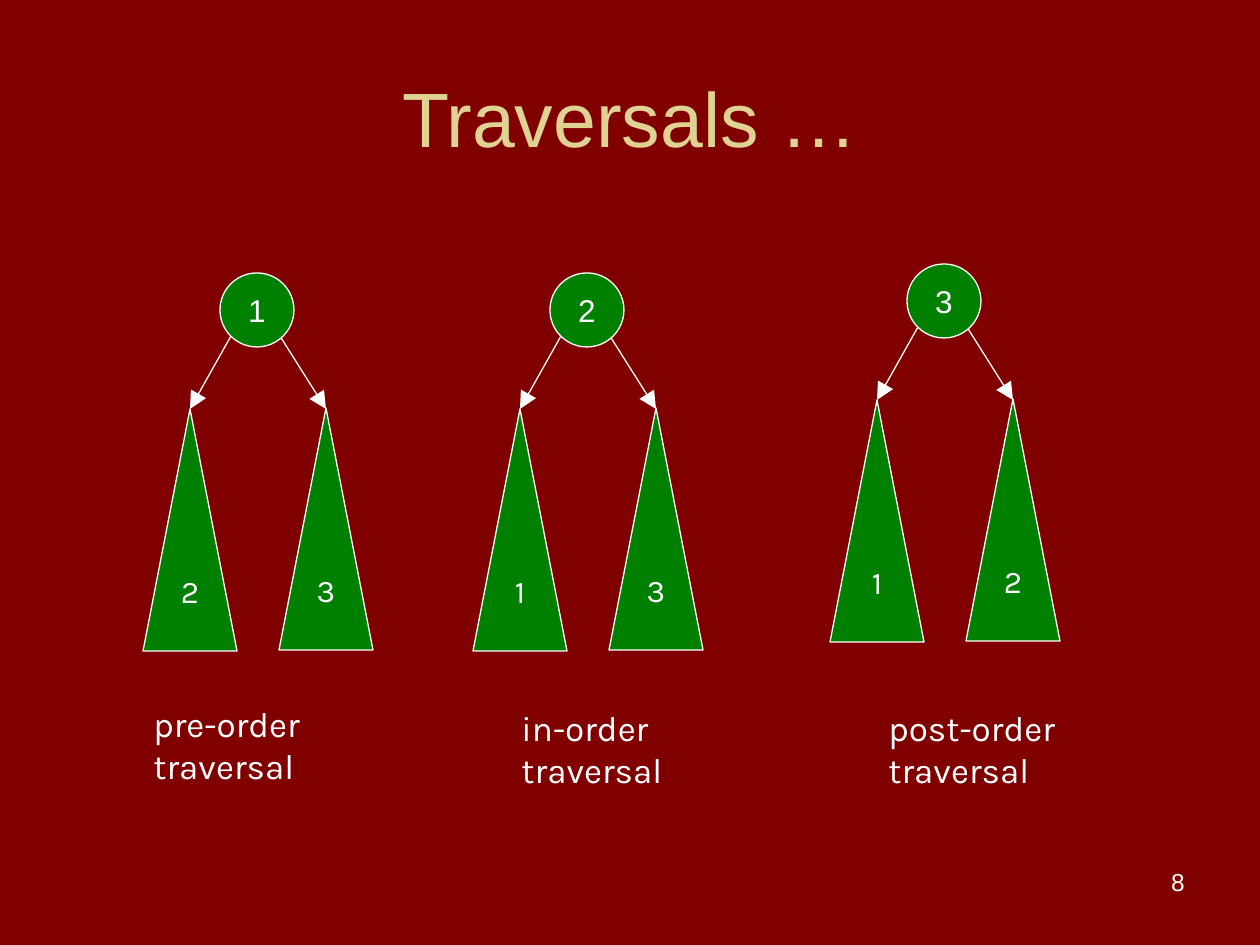
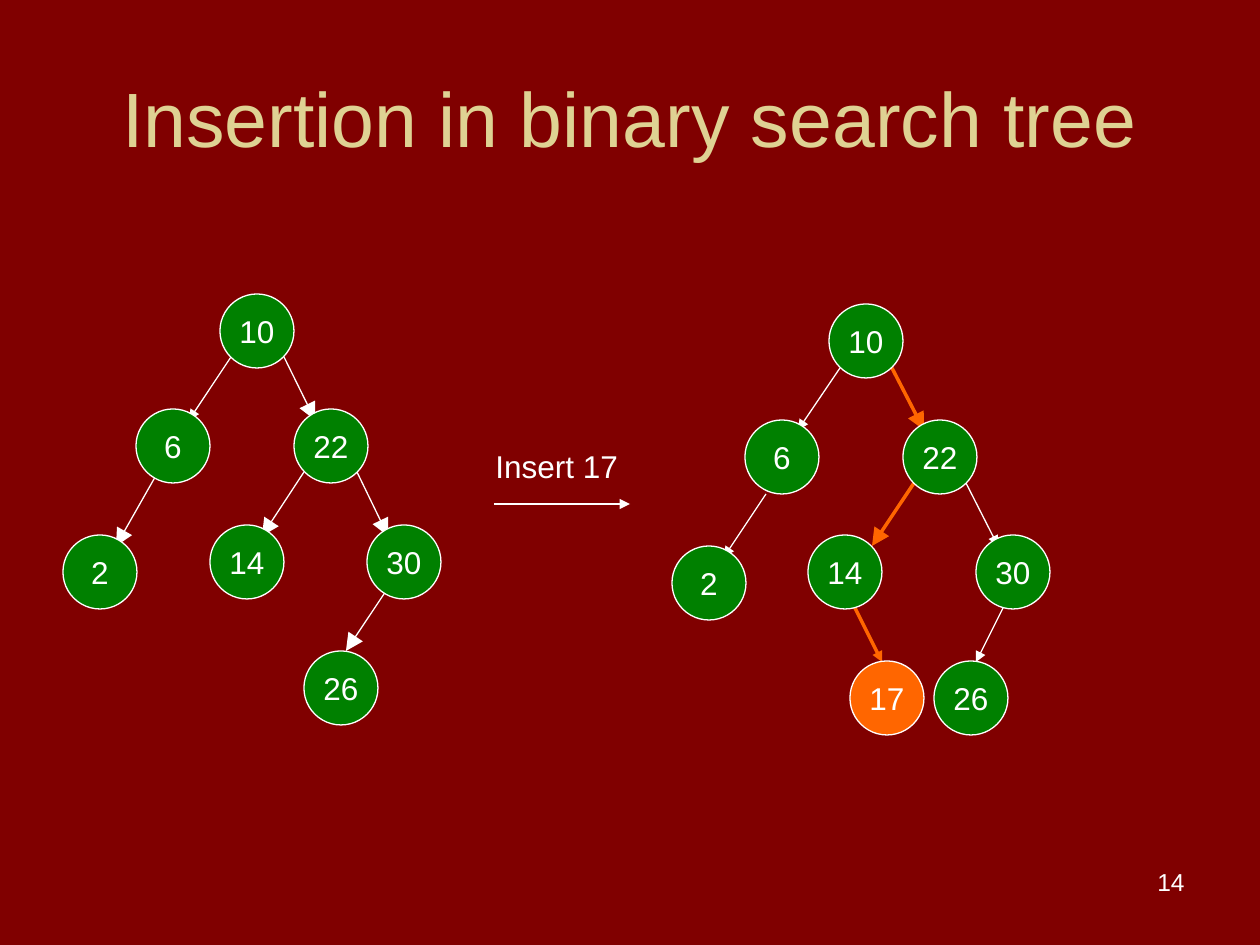
import dataclasses
import pptx
import pptx.dml.color
import pptx.enum.shapes
import pptx.enum.text
import pptx.oxml
import pptx.oxml.ns
import pptx.util

PX = 914400 / 126


@dataclasses.dataclass(frozen=True)
class Theme:
    background: str = "800000"
    title: str = "DFD293"
    text: str = "FFFFFF"
    line: str = "FFFFFF"
    node: str = "008000"
    highlight: str = "FF6600"
    font: str = "Arial"
    caption_font: str = "Karla"
    title_size: int = 44
    caption_size: int = 20
    label_size: int = 18
    number_size: int = 14
    line_width: float = 0.75
    path_width: float = 2


theme = Theme()
rgb = pptx.dml.color.RGBColor.from_string
align = pptx.enum.text.PP_ALIGN
anchor = pptx.enum.text.MSO_ANCHOR
auto_size = pptx.enum.text.MSO_AUTO_SIZE
preset = pptx.enum.shapes.MSO_SHAPE


def place(*lengths):
    return [round(length * PX) for length in lengths]


def write(shape, text, size, font=theme.font, color=theme.text,
          alignment=align.LEFT, vertical=anchor.TOP, wrap=True):
    frame = shape.text_frame
    frame.text = text
    frame.word_wrap = wrap
    frame.vertical_anchor = vertical
    for paragraph in frame.paragraphs:
        paragraph.alignment = alignment
        for run in paragraph.runs:
            run.font.size = pptx.util.Pt(size)
            run.font.name = font
            run.font.color.rgb = rgb(color)


NODE = (74, 74)
SUBTREE = (94, 242)

traversal_arrows = []
traversal_shapes = []
for x, y, root, left, right in [
    (220, 273, "1", "2", "3"),
    (550, 273, "2", "1", "3"),
    (907, 264, "3", "1", "2"),
]:
    traversal_arrows += [
        (x + 11, y + 63, x - 30, y + 136, theme.line, "lg"),
        (x + 53, y + 52, x + 106, y + 136, theme.line, "lg"),
    ]
    traversal_shapes += [
        (preset.ISOSCELES_TRIANGLE, x - 77, y + 136, SUBTREE, left, theme.node, theme.caption_font),
        (preset.ISOSCELES_TRIANGLE, x + 59, y + 135, SUBTREE, right, theme.node, theme.caption_font),
        (preset.OVAL, x, y, NODE, root, theme.node, theme.font),
    ]
traversal_captions = [
    (141, 696, 193, 97, "pre-order \vtraversal", theme.caption_size, theme.caption_font),
    (509, 700, 180, 97, "in-order \vtraversal", theme.caption_size, theme.caption_font),
    (876, 700, 215, 97, "post-order \vtraversal", theme.caption_size, theme.caption_font),
]

insertion_arrows = [
    (494, 504, 630, 504, theme.line, "med"),
    (231, 357, 189, 420, theme.line, "med"),
    (284, 357, 315, 420, theme.line, "lg"),
    (304, 472, 262, 536, theme.line, "lg"),
    (357, 472, 388, 536, theme.line, "lg"),
    (158, 472, 116, 546, theme.line, "lg"),
    (388, 588, 346, 651, theme.line, "lg"),
    (840, 368, 798, 430, theme.line, "med"),
    (892, 368, 924, 430, theme.highlight, "lg"),
    (914, 483, 872, 546, theme.highlight, "lg"),
    (966, 483, 998, 546, theme.line, "med"),
    (766, 494, 724, 557, theme.line, "med"),
    (850, 598, 882, 662, theme.highlight, "med"),
    (1008, 598, 976, 662, theme.line, "med"),
]
insertion_shapes = [
    (preset.OVAL, x, y, NODE, key, theme.highlight if key == "17" else theme.node, theme.font)
    for x, y, key in [
        (220, 294, "10"), (136, 409, "6"), (294, 409, "22"), (63, 535, "2"),
        (210, 525, "14"), (367, 525, "30"), (304, 651, "26"),
        (829, 304, "10"), (745, 420, "6"), (903, 420, "22"), (672, 546, "2"),
        (808, 535, "14"), (976, 535, "30"), (850, 661, "17"), (934, 661, "26"),
    ]
]
insertion_captions = [(483, 441, 170, 50, "Insert 17", theme.label_size, theme.font)]

presentation = pptx.Presentation()
presentation.slide_width, presentation.slide_height = place(1260, 945)
background = presentation.slide_master.background.fill
background.solid()
background.fore_color.rgb = rgb(theme.background)

for title_text, number, arrows, shapes, captions in [
    ("Traversals …", "8", traversal_arrows, traversal_shapes, traversal_captions),
    ("Insertion in binary search tree", "14", insertion_arrows, insertion_shapes, insertion_captions),
]:
    slide = presentation.slides.add_slide(presentation.slide_layouts[5])

    title = slide.shapes.title
    title.left, title.top, title.width, title.height = place(63, 38, 1134, 157)
    write(title, title_text, theme.title_size, color=theme.title,
          alignment=align.CENTER, vertical=anchor.MIDDLE)
    title.text_frame.auto_size = auto_size.NONE

    for start_x, start_y, end_x, end_y, color, head in arrows:
        arrow = slide.shapes.add_connector(
            pptx.enum.shapes.MSO_CONNECTOR.STRAIGHT, *place(start_x, start_y, end_x, end_y))
        arrow.line.color.rgb = rgb(color)
        arrow.line.width = pptx.util.Pt(
            theme.path_width if color == theme.highlight else theme.line_width)
        properties = arrow.element.spPr
        outline = properties.find(pptx.oxml.ns.qn("a:ln"))
        outline.append(pptx.oxml.parse_xml(
            f'<a:tailEnd {pptx.oxml.ns.nsdecls("a")} type="triangle" w="{head}" len="{head}"/>'))
        properties.append(pptx.oxml.parse_xml(f'<a:effectLst {pptx.oxml.ns.nsdecls("a")}/>'))

    for kind, x, y, size, label, color, font in shapes:
        shape = slide.shapes.add_shape(kind, *place(x, y, *size))
        shape.shadow.inherit = False
        shape.fill.solid()
        shape.fill.fore_color.rgb = rgb(color)
        shape.line.color.rgb = rgb(theme.line)
        shape.line.width = pptx.util.Pt(theme.line_width)
        write(shape, label, theme.label_size, font,
              alignment=align.CENTER, vertical=anchor.MIDDLE, wrap=False)

    for x, y, width, height, text, size, font in captions:
        caption = slide.shapes.add_textbox(*place(x, y, width, height))
        write(caption, text, size, font)
        caption.text_frame.auto_size = auto_size.SHAPE_TO_FIT_TEXT

    page_number = slide.shapes.add_textbox(*place(903, 861, 294, 66))
    write(page_number, number, theme.number_size, alignment=align.RIGHT)

presentation.save("out.pptx")
